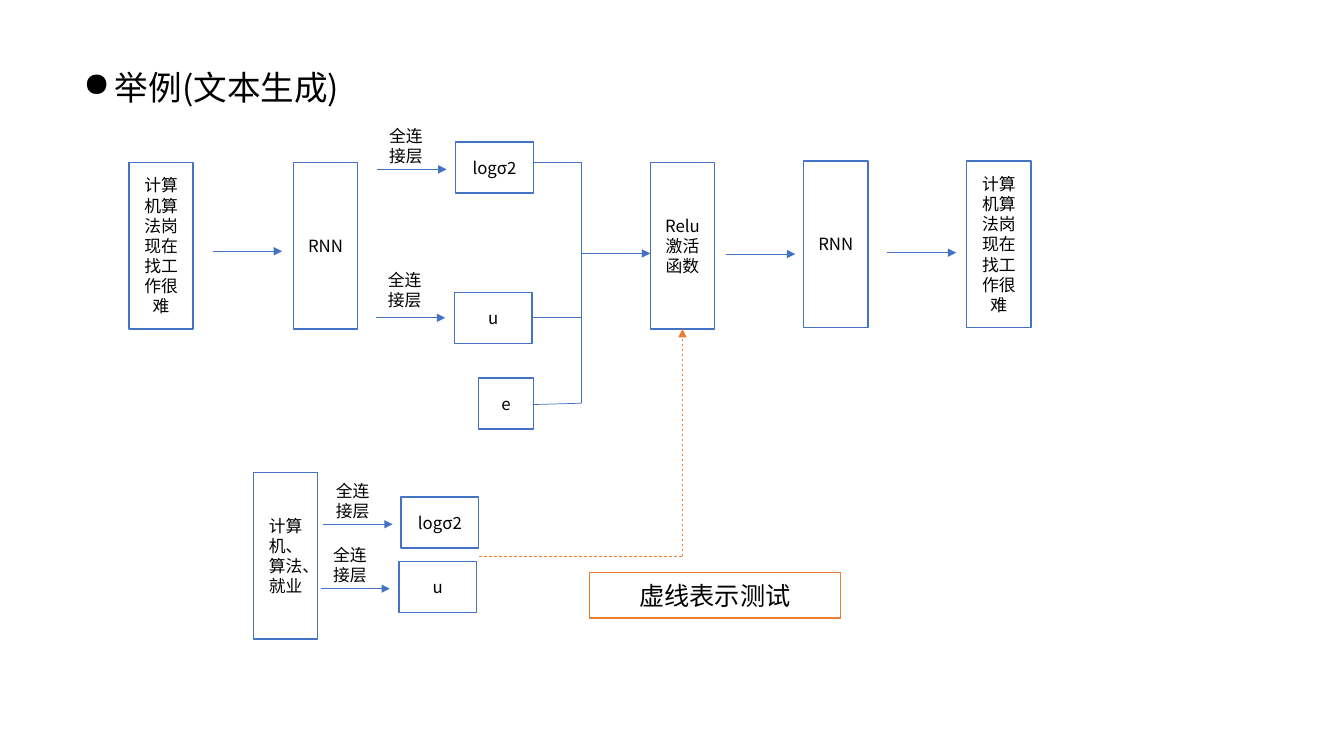
"""Draw a text generation network with its test path."""
from lxml.etree import SubElement as Sub
from pptx import Presentation
from pptx.dml.color import RGBColor as RGB
from pptx.enum.dml import MSO_LINE as Dash
from pptx.enum.shapes import MSO_CONNECTOR as Link, MSO_SHAPE as Form
from pptx.enum.text import MSO_ANCHOR as Anchor, MSO_AUTO_SIZE as Auto, PP_ALIGN as Align
from pptx.oxml.ns import qn
from pptx.util import Pt

FONT = "Noto Sans CJK SC"
BLUE, ORANGE, BLACK, WHITE = "4472C4", "ED7D31", "000000", "FFFFFF"
TITLE = "举例(文本生成)"
NOTE = "虚线表示测试"
DENSE = "全连接层"
SAMPLE = "计算机算法岗现在找工作很难"

TALL = (46, 119)
LAYERS = [
    (SAMPLE, 92, 116), ("RNN", 209.5, 116), ("Relu激活函数", 464.5, 116),
    ("RNN", 574, 115), (SAMPLE, 690.5, 115), ("计算机、算法、就业", 181, 337.5),
]
CELL = (55.5, 36.5)
VALUES = [
    ("logσ2", 325.5, 101.5), ("u", 324.5, 209),
    ("logσ2", 286.5, 355), ("u", 285, 401),
]
NOISE = ("e", 342, 270, 39, 36.5)
TAG = (39, 19.5)
TAGS = [(270.5, 94.5), (269.5, 197.5), (232.5, 348), (230.5, 394)]
STEP = 49.5
STEPS = [
    (152, 179.5), (518.5, 181.5), (633.5, 180.5), (269.5, 121),
    (268.5, 227), (231, 374.5), (229, 420.5),
]
EDGE, BUS, RELU = 380.5, 415.5, 464.5
TOP, MID, LOW = 116, 181, 288
TAPS = [(TOP, TOP), (227, 227), (289, LOW)]
TEST = [(342, 397.5), (487.5, 397.5), (487.5, 235)]

deck = Presentation()
deck.slide_width, deck.slide_height = Pt(960), Pt(540)
slide = deck.slides.add_slide(deck.slide_layouts[6])
shapes = slide.shapes


def paint(color, code):
    color.rgb = RGB.from_string(code)


def write(shape, text, size):
    frame = shape.text_frame
    frame.text = text
    frame.word_wrap = True
    para = frame.paragraphs[0]
    for run in para.runs:
        run.font.size = Pt(size)
        run.font.name = FONT
        paint(run.font.color, BLACK)
        Sub(run.font._element, qn("a:ea"), typeface=FONT)
    return para


def box(text, x, y, w, h, edge=BLUE, size=12):
    shape = shapes.add_shape(Form.RECTANGLE, Pt(x), Pt(y), Pt(w), Pt(h))
    shape.shadow.inherit = False
    shape.fill.solid()
    paint(shape.fill.fore_color, WHITE)
    if edge:
        paint(shape.line.color, edge)
        shape.line.width = Pt(1)
    else:
        shape.line.fill.background()
    shape.text_frame.vertical_anchor = Anchor.MIDDLE
    write(shape, text, size).alignment = Align.CENTER


def line(start, end, color=BLUE, dash=False, head=False):
    link = shapes.add_connector(Link.STRAIGHT, *map(Pt, start + end))
    paint(link.line.color, color)
    link.line.width = Pt(0.5)
    if dash:
        link.line.dash_style = Dash.DASH
    props = link.element.spPr
    if head:
        Sub(props.find(qn("a:ln")), qn("a:tailEnd"), type="triangle")
    Sub(props, qn("a:effectLst"))


title = shapes.add_textbox(Pt(52.5), Pt(44), Pt(395.5), Pt(36))
para = write(title, TITLE, 24)
title.text_frame.auto_size = Auto.SHAPE_TO_FIT_TEXT
props = para._p.get_or_add_pPr()
props.set("marL", str(Pt(22.5)))
props.set("indent", str(-Pt(22.5)))
Sub(props, qn("a:buChar"), char="●")

for spot in LAYERS:
    box(*spot, *TALL)
for spot in VALUES:
    box(*spot, *CELL)
box(*NOISE)
for spot in TAGS:
    box(DENSE, *spot, *TAG, edge=None)
box(NOTE, 421, 409, 179.5, 32.5, ORANGE, 18)

for x, y in STEPS:
    line((x, y), (x + STEP, y), head=True)
for left, right in TAPS:
    line((EDGE, left), (BUS, right))
line((BUS, TOP), (BUS, LOW))
line((BUS, MID), (RELU, MID), head=True)
start, turn, end = TEST
line(start, turn, ORANGE, dash=True)
line(turn, end, ORANGE, dash=True, head=True)

deck.save("out.pptx")
